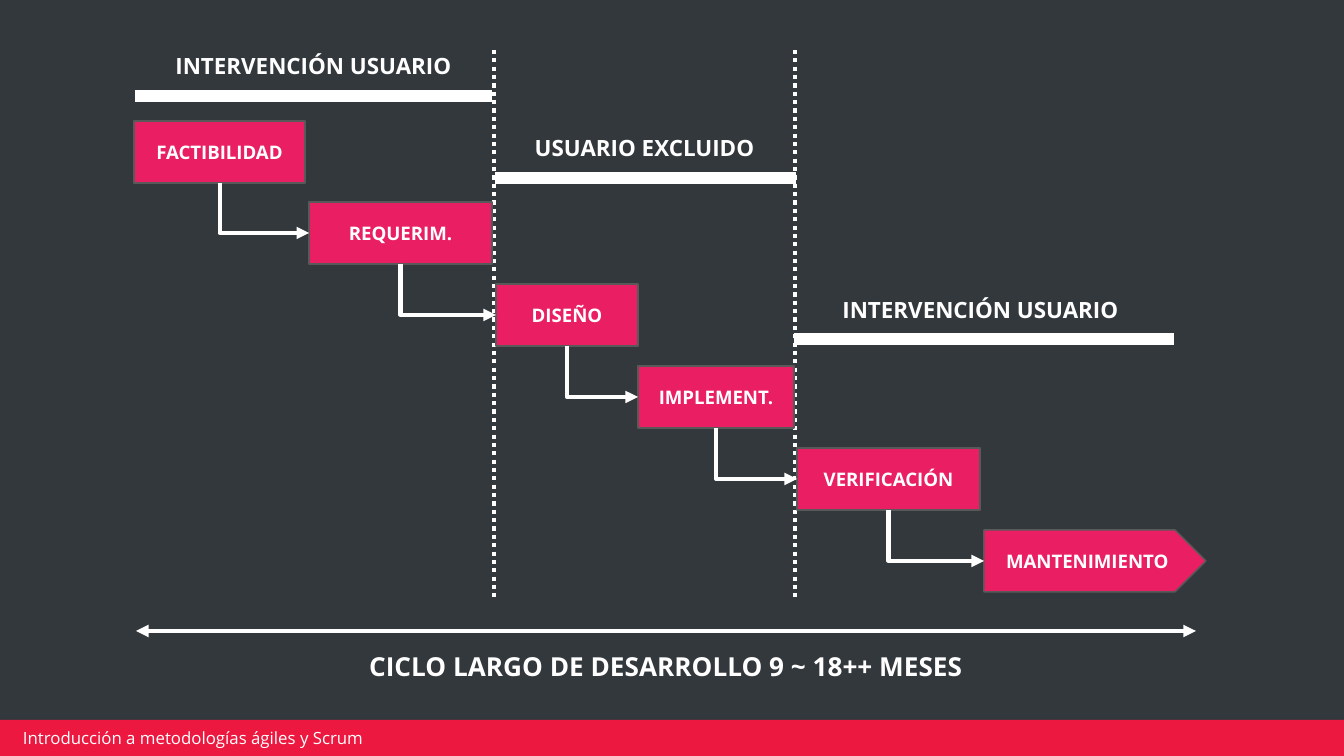
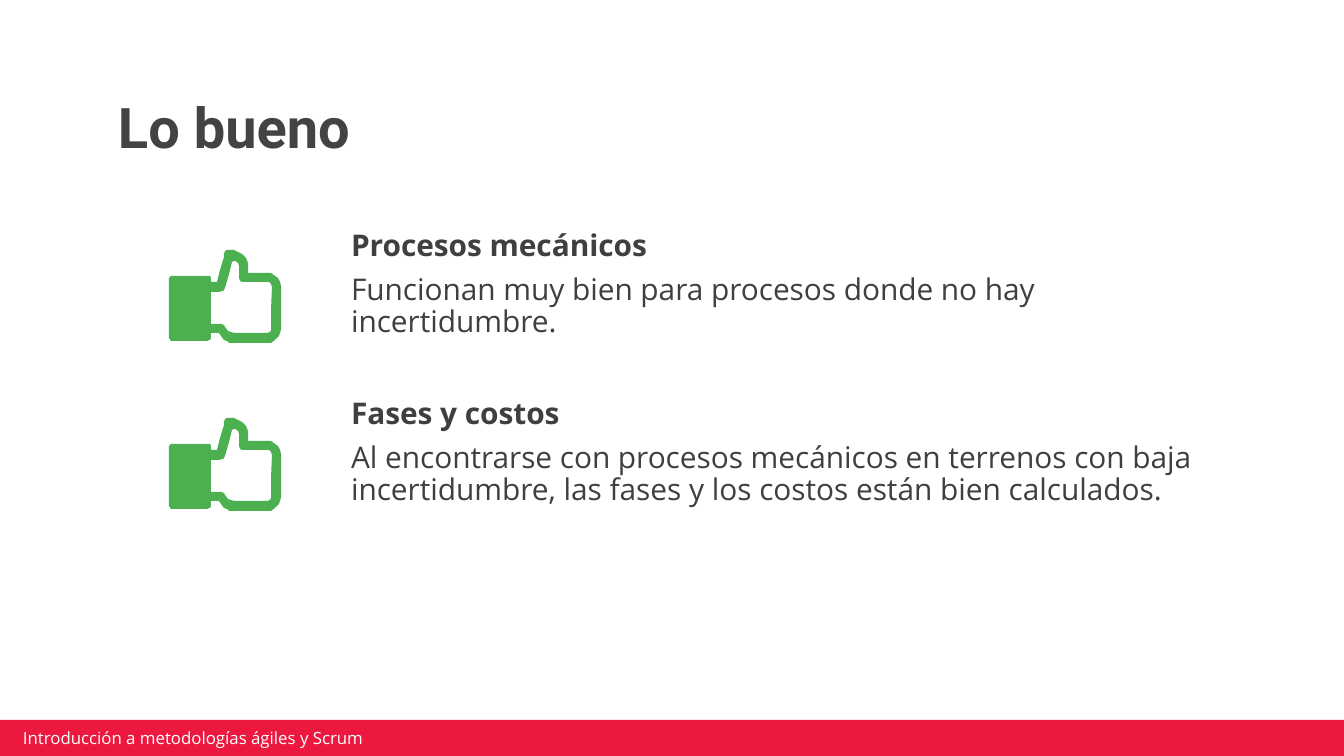
"""Build two slides on waterfall methods: the long cycle and its strengths."""
from dataclasses import dataclass
from itertools import pairwise

from lxml.etree import SubElement
from pptx import Presentation
from pptx.dml.color import RGBColor
from pptx.enum.dml import MSO_LINE
from pptx.enum.shapes import MSO_CONNECTOR as CONN, MSO_SHAPE as SHAPE
from pptx.enum.text import MSO_ANCHOR as ANCHOR, MSO_AUTO_SIZE as AUTO, PP_ALIGN as ALIGN
from pptx.oxml.ns import qn
from pptx.util import Pt

PX = 914400 / 134.4
SLIDE_W, SLIDE_H = 1344, 756


@dataclass(frozen=True)
class Theme:
    dark: str = "33383C"
    white: str = "FFFFFF"
    band: str = "EC183F"
    step: str = "E91E63"
    step_line: str = "595959"
    title: str = "434343"
    body: str = "3F3F3F"
    thumb: str = "4CAF50"
    font: str = "Open Sans"
    title_font: str = "Roboto"
    footer_pt: int = 9
    step_pt: int = 10
    phase_pt: int = 12
    cycle_pt: int = 14
    body_pt: int = 16
    title_pt: int = 30
    hair: float = 0.75
    line: float = 2.25
    bar: float = 6


T = Theme()

FOOTER = "Introducción a metodologías ágiles y Scrum"
CYCLE = "CICLO LARGO DE DESARROLLO 9 ~ 18++ MESES"
STEPS = [
    ("FACTIBILIDAD", 134, 171),
    ("REQUERIM.", 309, 183),
    ("DISEÑO", 496, 142),
    ("IMPLEMENT.", 638, 156),
    ("VERIFICACIÓN", 797, 183),
    ("MANTENIMIENTO", 984, 222),
]
FIRST_STEP_Y, LAST_STEP_Y, STEP_H = 121, 530, 62
PHASES = [
    ("INTERVENCIÓN USUARIO", (135, 492), 96, (135, 41, 357, 51)),
    ("USUARIO EXCLUIDO", (495, 796), 178, (494, 123, 301, 51)),
    ("INTERVENCIÓN USUARIO", (794, 1174), 339, (795, 285, 371, 51)),
]
DIVIDERS = [494, 795]

TITLE = "Lo bueno"
STRENGTHS = [
    ("Procesos mecánicos", "Funcionan muy bien para procesos donde no hay incertidumbre."),
    ("Fases y costos", "Al encontrarse con procesos mecánicos en terrenos con baja "
     "incertidumbre, las fases y los costos están bien calculados."),
]
STRENGTH_Y, STRENGTH_PITCH = 218, 168
CUFF = [(2, 26), (0, 28), (0, 88), (2, 91), (38, 91), (41, 90), (42, 88), (42, 28), (41, 26),
        (38, 26)]
HAND = [(60, 0), (58, 0), (56, 1), (55, 4), (55, 7), (51, 20), (48, 32), (42, 32), (42, 42),
        (50, 42), (54, 41), (55, 40), (56, 38), (60, 24), (63, 12), (65, 11), (66, 11), (69, 13),
        (70, 16), (70, 28), (71, 31), (73, 32), (75, 32), (97, 32), (100, 32), (102, 34),
        (103, 37), (102, 60), (102, 80), (101, 82), (98, 83), (65, 83), (62, 82), (59, 81),
        (56, 77), (55, 75), (52, 74), (47, 74), (42, 74), (42, 83), (50, 83), (52, 86), (55, 90),
        (58, 91), (60, 93), (62, 93), (98, 93), (102, 93), (106, 90), (110, 86), (111, 83),
        (112, 79), (112, 36), (111, 32), (109, 28), (106, 26), (102, 23), (98, 23), (79, 23),
        (79, 13), (77, 8), (73, 4), (67, 1), (65, 0)]


def emu(*lengths):
    return [round(n * PX) for n in lengths]


def rgb(color):
    return RGBColor.from_string(color)


def paint(sp, fill, line=None):
    sp.shadow.inherit = False
    sp.fill.solid()
    sp.fill.fore_color.rgb = rgb(fill)
    if line:
        sp.line.color.rgb = rgb(line)
        sp.line.width = Pt(T.hair)
    else:
        sp.line.fill.background()


def write(sp, lines, size, color, font=T.font, align=ALIGN.LEFT, anchor=ANCHOR.TOP,
          inset=(13, 13), wrap=True, spacing=None):
    tf = sp.text_frame
    tf.auto_size, tf.word_wrap, tf.vertical_anchor = AUTO.NONE, wrap, anchor
    tf.margin_left = tf.margin_right = emu(inset[0])[0]
    tf.margin_top = tf.margin_bottom = emu(inset[1])[0]
    for i, (text, bold) in enumerate(lines):
        p = tf.add_paragraph() if i else tf.paragraphs[0]
        p.alignment, p.space_before, p.line_spacing = align, Pt(6 if i else 0), spacing
        r = p.add_run()
        r.text = text
        r.font.name, r.font.size, r.font.bold = font, Pt(size), bold
        r.font.color.rgb = rgb(color)


def add_text(s, box, lines, size, color, **style):
    write(s.shapes.add_textbox(*emu(*box)), lines, size, color, **style)


def style_line(cn, width, head=False, tail=False):
    cn.line.color.rgb = rgb(T.white)
    cn.line.width = Pt(width)
    ln = cn.line._get_or_add_ln()
    for tag, wanted in (("a:headEnd", head), ("a:tailEnd", tail)):
        if wanted:
            SubElement(ln, qn(tag), type="triangle")
    SubElement(cn._element.spPr, qn("a:effectLst"))


def add_line(s, x1, y1, x2, y2, width=T.line, **ends):
    cn = s.shapes.add_connector(CONN.STRAIGHT, *emu(x1, y1, x2, y2))
    style_line(cn, width, **ends)
    return cn


def join_steps(s, above, below):
    cn = s.shapes.add_connector(CONN.ELBOW, 0, 0, 0, 0)
    cn.begin_connect(above, 2)
    cn.end_connect(below, 1)
    x, y, dx, dy = cn.left, cn.top, cn.width, cn.height
    cn.left, cn.top = x + (dx - dy) // 2, y + (dy - dx) // 2
    cn.width, cn.height = dy, dx
    xfrm = cn._element.spPr.find(qn("a:xfrm"))
    xfrm.set("rot", "16200000")
    xfrm.set("flipH", "1")
    cn._element.spPr.find(qn("a:prstGeom")).set("prst", "bentConnector2")
    style_line(cn, T.line, tail=True)


def new_slide(prs, layout, background):
    s = prs.slides.add_slide(prs.slide_layouts[layout])
    s.background.fill.solid()
    s.background.fill.fore_color.rgb = rgb(background)
    paint(s.shapes.add_shape(SHAPE.RECTANGLE, *emu(-2, 720, 1348, 36)), T.band)
    add_text(s, (16, 728, 356, 20), [(FOOTER, False)], T.footer_pt, T.white,
             anchor=ANCHOR.MIDDLE, inset=(7, 3), wrap=False)
    return s


def build_cycle(prs):
    s = new_slide(prs, 6, T.dark)
    for x in DIVIDERS:
        add_line(s, x, 50, x, 597).line.dash_style = MSO_LINE.ROUND_DOT
    steps = []
    last = len(STEPS) - 1
    for i, (name, x, w) in enumerate(STEPS):
        y = FIRST_STEP_Y + (LAST_STEP_Y - FIRST_STEP_Y) * i // last
        kind = SHAPE.PENTAGON if i == last else SHAPE.RECTANGLE
        sp = s.shapes.add_shape(kind, *emu(x, y, w, STEP_H))
        paint(sp, T.step, T.step_line)
        write(sp, [(name, True)], T.step_pt, T.white, align=ALIGN.CENTER, anchor=ANCHOR.MIDDLE)
        steps.append(sp)
    for above, below in pairwise(steps):
        join_steps(s, above, below)
    for name, (x1, x2), y, box in PHASES:
        add_line(s, x1, y, x2, y, T.bar)
        add_text(s, box, [(name, True)], T.phase_pt, T.white,
                 align=ALIGN.CENTER, anchor=ANCHOR.BOTTOM)
    add_line(s, 136, 631, 1196, 631, head=True, tail=True)
    add_text(s, (257, 637, 818, 47), [(CYCLE, True)], T.cycle_pt, T.white, align=ALIGN.CENTER)


def add_thumb(s, x, y):
    group = s.shapes.add_group_shape()
    for (start, *rest) in (CUFF, HAND):
        outline = group.shapes.build_freeform(*start, scale=PX)
        outline.add_line_segments(rest, close=True)
        paint(outline.convert_to_shape(*emu(x, y)), T.thumb)


def build_strengths(prs):
    s = new_slide(prs, 5, T.white)
    title = s.shapes.title
    title.left, title.top, title.width, title.height = emu(105, 81, 1130, 93)
    write(title, [(TITLE, True)], T.title_pt, T.title, font=T.title_font,
          anchor=ANCHOR.BOTTOM, spacing=0.9)
    for i, (heading, detail) in enumerate(STRENGTHS):
        y = STRENGTH_Y + i * STRENGTH_PITCH
        add_text(s, (338, y, 900, 71), [(heading, True), (detail, False)],
                 T.body_pt, T.body, spacing=0.9)
        add_thumb(s, 169, y + 32)


def main():
    prs = Presentation()
    prs.slide_width, prs.slide_height = emu(SLIDE_W, SLIDE_H)
    build_cycle(prs)
    build_strengths(prs)
    prs.save("out.pptx")


if __name__ == "__main__":
    main()
